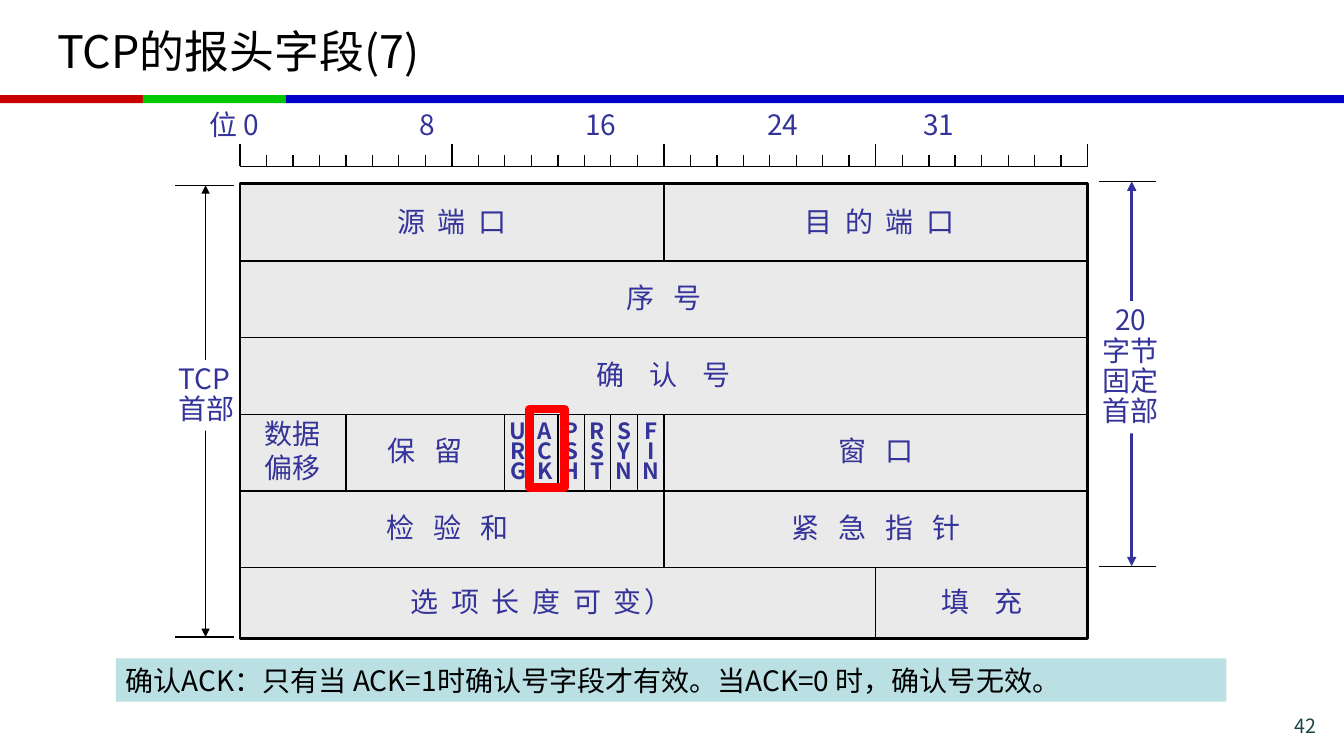
from lxml.etree import SubElement
from pptx import Presentation
from pptx.dml.color import RGBColor
from pptx.enum.shapes import MSO_CONNECTOR, MSO_SHAPE
from pptx.enum.text import MSO_ANCHOR, MSO_AUTO_SIZE, PP_ALIGN
from pptx.oxml.ns import qn
from pptx.util import Cm, Pt

COLOURS = {
    "black": "000000", "white": "FFFFFF", "ink": "333399", "cell": "EAEAEA",
    "red": "C80000", "green": "00C800", "blue": "0000C8", "mark": "FF0000",
    "note": "BBE0E3", "page": "1E4649",
}
FONT = "Noto Sans CJK SC"
LEFT, RIGHT, TOP, BOTTOM = 6.05, 27.41, 4.62, 16.1
BIT = (RIGHT - LEFT) / 32


def bit_x(bit):
    return round(LEFT + bit * BIT, 2)


def row_y(row):
    return min(round(4.65 + row * 1.93, 2), BOTTOM)


def apply(target, values):
    for name, value in values.items():
        setattr(target, name, value)


class HeaderSlide:
    """Draws styled elements on one title-only slide."""

    def __init__(self, deck):
        self.slide = deck.slides.add_slide(deck.slide_layouts[5])
        self.shapes = self.slide.shapes

    def colour(self, name):
        return RGBColor.from_string(COLOURS[name])

    def letter(self, shape, lines, size=20, colour="ink", bold=False,
               align=PP_ALIGN.CENTER, spacing=None, tracking=0, wrap=False):
        frame = shape.text_frame
        frame.text = "\n".join(lines)
        apply(frame, {
            "word_wrap": wrap, "auto_size": MSO_AUTO_SIZE.NONE,
            "vertical_anchor": MSO_ANCHOR.MIDDLE,
            "margin_left": Cm(0.25), "margin_right": Cm(0.25),
            "margin_top": Cm(0.13), "margin_bottom": Cm(0.13),
        })
        for paragraph in frame.paragraphs:
            apply(paragraph, {"alignment": align, "line_spacing": spacing})
            for run in paragraph.runs:
                apply(run.font, {"name": FONT, "size": Pt(size), "bold": bold})
                run.font.color.rgb = self.colour(colour)
                properties = run._r.get_or_add_rPr()
                SubElement(properties, qn("a:ea")).set("typeface", FONT)
                if tracking:
                    properties.set("spc", str(tracking))

    def title(self, text, *box):
        heading = self.shapes.title
        apply(heading, dict(zip(("left", "top", "width", "height"), map(Cm, box))))
        self.letter(heading, [text], 32, "black", align=PP_ALIGN.LEFT, wrap=True)

    def text(self, lines, *box, **style):
        label = self.shapes.add_textbox(*map(Cm, box))
        self.letter(label, lines, **style)

    def rect(self, *box, fill=None, line=None, weight=1):
        block = self.shapes.add_shape(MSO_SHAPE.RECTANGLE, *map(Cm, box))
        block.shadow.inherit = False
        if fill:
            block.fill.solid()
            block.fill.fore_color.rgb = self.colour(fill)
        else:
            block.fill.background()
        if line:
            block.line.color.rgb = self.colour(line)
            block.line.width = Pt(weight)
        else:
            block.line.fill.background()
        return block

    def line(self, *ends, colour="black", weight=1, arrows=False):
        rule = self.shapes.add_connector(MSO_CONNECTOR.STRAIGHT, *map(Cm, ends))
        rule.line.color.rgb = self.colour(colour)
        rule.line.width = Pt(weight)
        properties = rule._element.spPr
        if arrows:
            for end in ("a:headEnd", "a:tailEnd"):
                SubElement(properties.find(qn("a:ln")), qn(end)).set("type", "triangle")
        SubElement(properties, qn("a:effectLst"))


def draw_scale(page):
    page.line(LEFT, 4.19, RIGHT, 4.19)
    for bit in range(33):
        page.line(bit_x(bit), 3.91 if bit % 8 else 3.63, bit_x(bit), 4.19)
    labels = {"位 0": 5.9, "8": 10.76, "16": 15.14, "24": 19.73, "31": 23.66}
    for label, centre in labels.items():
        page.text([label], centre - 1, 2.59, 2, 1.09)


def draw_fields(page):
    page.rect(LEFT, TOP, RIGHT - LEFT, BOTTOM - TOP, fill="cell", line="black", weight=2)
    for row in range(1, 6):
        page.line(LEFT, row_y(row), RIGHT, row_y(row))
    dividers = [(16, 0, 1), (4, 3, 4), (16, 3, 5), (24, 5, 6)]
    dividers += [(bit, 3, 4) for bit in range(10, 16)]
    for bit, first, last in dividers:
        page.line(bit_x(bit), row_y(first), bit_x(bit), row_y(last))

    fields = [
        (0, 0, 16, "源 端 口", 225, 3.48, 0), (0, 16, 32, "目 的 端 口", 225, 4.62, 0.1),
        (1, 0, 32, "序 号", 450, 3.84, 0), (2, 0, 32, "确 认 号", 675, 5.1, 0),
        (3, 0, 4, "数据\n偏移", 0, 1.93, 0), (3, 4, 10, "保 留", 450, 2.57, 0),
        (3, 16, 32, "窗 口", 450, 2.57, 0),
        (4, 0, 16, "检 验 和", 450, 3.91, -0.12), (4, 16, 32, "紧 急 指 针", 450, 5.23, 0),
        (5, 0, 24, "选 项 长 度 可 变）", 225, 8.89, -0.4), (5, 24, 32, "填 充", 675, 3.48, 0),
    ]
    for row, first, last, name, tracking, width, shift in fields:
        lines = name.split("\n")
        height = 0.25 + 0.85 * len(lines)
        centre_x = (bit_x(first) + bit_x(last)) / 2 + shift
        centre_y = (row_y(row) + row_y(row + 1)) / 2 - 0.05
        page.text(lines, centre_x - width / 2, centre_y - height / 2, width, height,
                  tracking=tracking)
    for bit, flag in enumerate(("URG", "ACK", "PSH", "RST", "SYN", "FIN"), 10):
        page.text(list(flag), bit_x(bit + 0.5) - 0.46, 10.52, 0.92, 1.8,
                  size=16, bold=True, spacing=0.75)


def draw_spans(page):
    spans = [
        (5.18, 4.67, 16.05, 4.42, 5.9, "black", 1,
         ["TCP", "首部"], (4.24, 9.07, 1.93, 1.78), PP_ALIGN.LEFT),
        (28.52, 4.57, 14.27, 27.69, 29.13, "ink", 2.25,
         ["20", "字节", "固定", "首部"], (27.53, 7.59, 1.93, 3.33), PP_ALIGN.CENTER),
    ]
    for x, top, bottom, cap_left, cap_right, colour, weight, lines, box, align in spans:
        page.line(x, top, x, bottom, colour=colour, weight=weight, arrows=True)
        for y in (top, bottom):
            page.line(cap_left, y, cap_right, y)
        page.letter(page.rect(*box, fill="white"), lines, align=align, spacing=0.9)


def main():
    deck = Presentation()
    apply(deck, {"slide_width": Cm(33.87), "slide_height": Cm(19.05)})
    page = HeaderSlide(deck)
    page.title("TCP的报头字段(7)", 1.19, 0.2, 31.47, 2.13)
    for left, width, colour in ((0, 3.6, "red"), (3.6, 3.6, "green"), (7.2, 26.67, "blue")):
        page.rect(left, 2.4, width, 0.2, fill=colour)
    draw_scale(page)
    draw_spans(page)
    draw_fields(page)
    page.letter(page.rect(2.92, 16.59, 27.99, 1.09, fill="note"),
                ["确认ACK：只有当 ACK=1时确认号字段才有效。当ACK=0 时，确认号无效。"],
                colour="black", align=PP_ALIGN.LEFT, wrap=True)
    page.rect(13.34, 10.31, 0.89, 1.98, line="mark", weight=6)
    page.text(["42"], 30.12, 17.93, 3.3, 0.71, size=14, colour="page",
              align=PP_ALIGN.RIGHT, wrap=True)
    deck.save("out.pptx")


if __name__ == "__main__":
    main()
